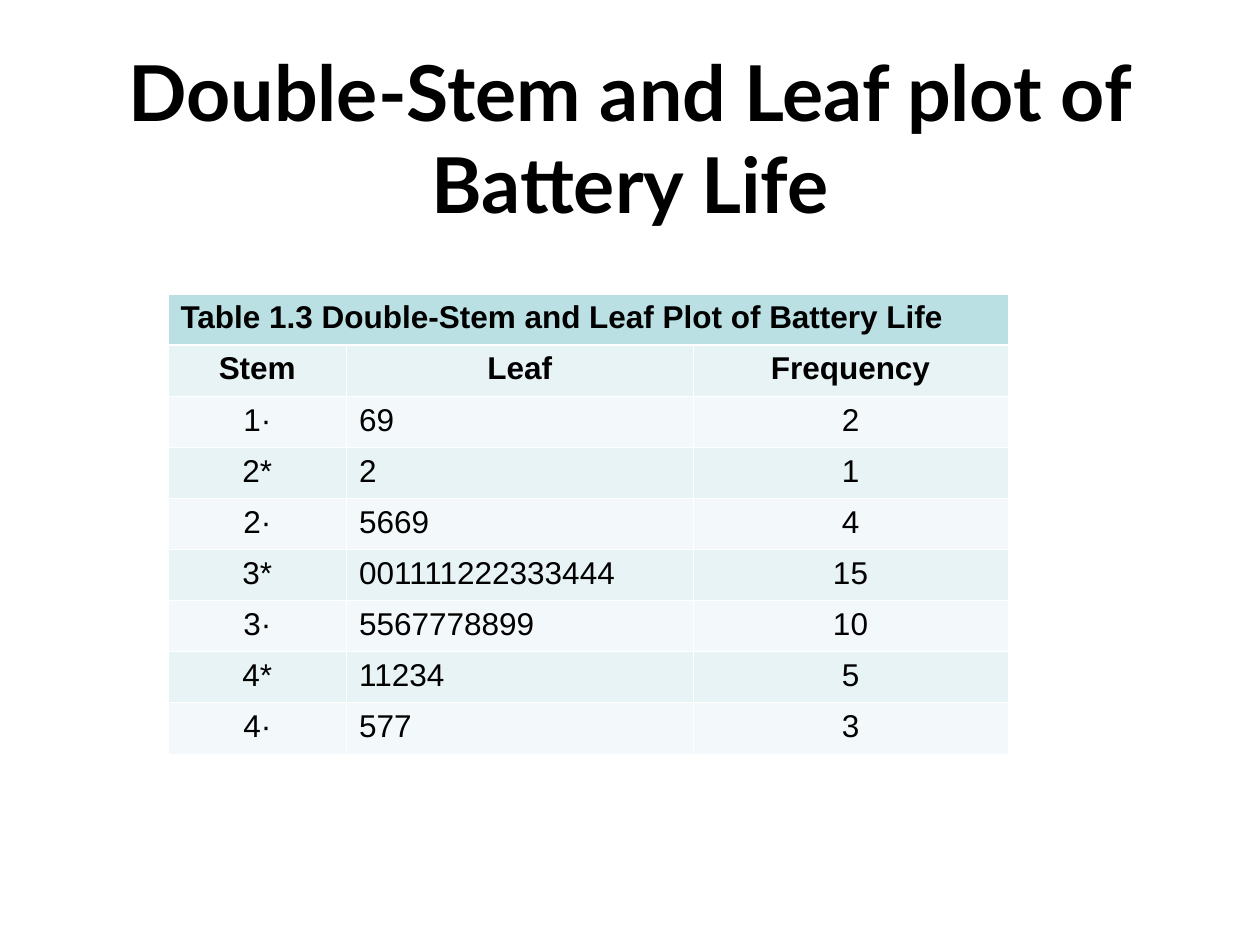
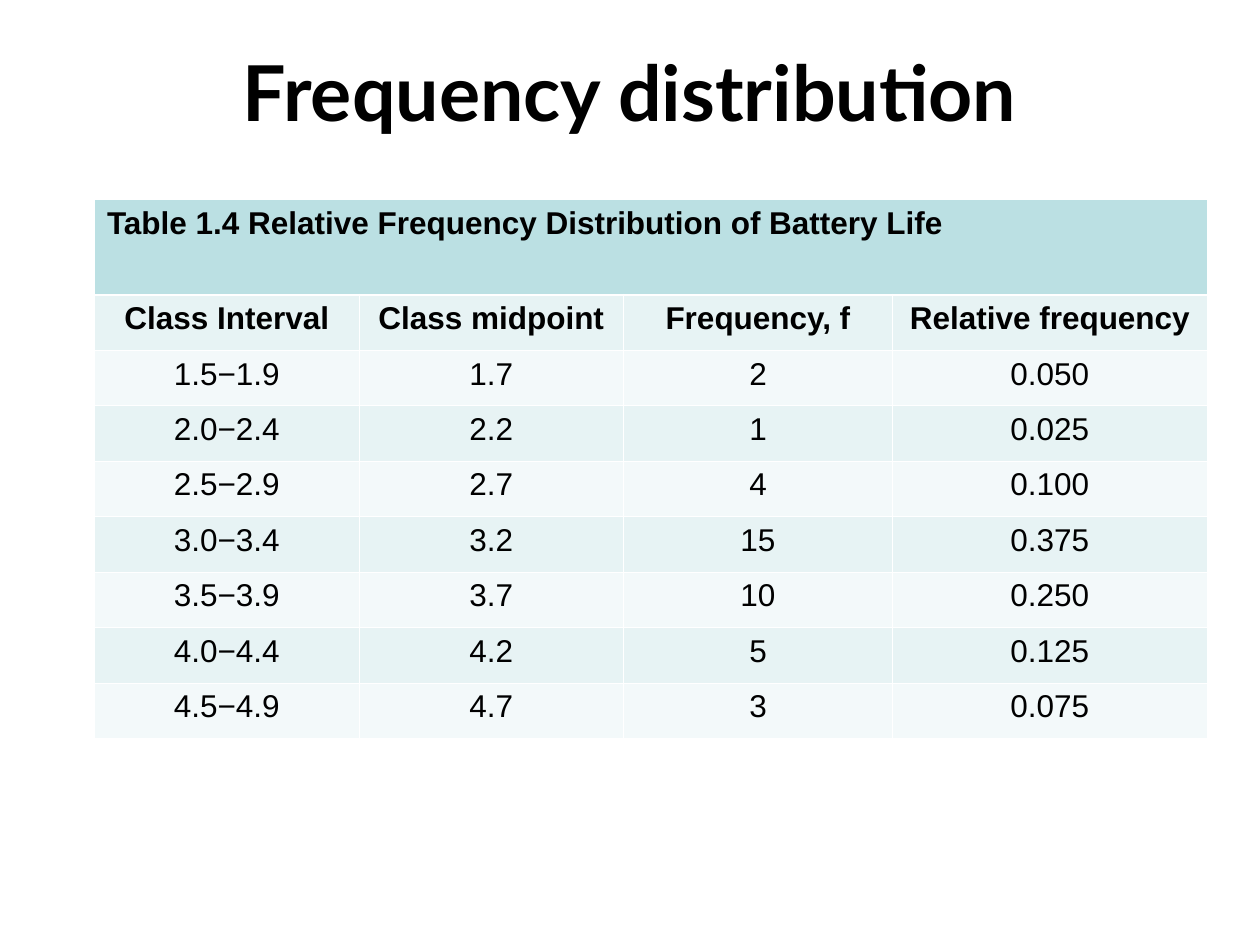
from dataclasses import dataclass

from lxml import etree
from pptx import Presentation
from pptx import util as u
from pptx.dml.color import RGBColor
from pptx.enum import text
from pptx.oxml import ns

LEFT, CENTER = text.PP_ALIGN.LEFT, text.PP_ALIGN.CENTER


@dataclass(frozen=True)
class Theme:
    ink: str = "000000"
    rule: str = "FFFFFF"
    caption: str = "BBE0E3"
    bands: tuple = ("E7F3F4", "F3F9FA")
    title_font: str = "Lato"
    table_font: str = "Arial"
    title_size: float = 44
    table_size: float = 18
    thin: float = 0.45
    thick: float = 1.47


class Deck:
    def __init__(self, theme):
        self.theme = theme
        self.prs = Presentation()
        self.prs.slide_width, self.prs.slide_height = u.Pt(720), u.Pt(540)
        self.s = None

    def font(self, p, name, size, bold):
        for r in p.runs:
            r.font.name, r.font.size, r.font.bold = name, u.Pt(size), bold
            r.font.color.rgb = RGBColor.from_string(self.theme.ink)

    def slide(self, title):
        """Start a slide with its title in the shared style."""
        self.s = self.prs.slides.add_slide(self.prs.slide_layouts[5])
        sp = self.s.shapes.title
        sp.left, sp.top, sp.width, sp.height = map(u.Pt, (36, 21.6, 648, 90))
        tf = sp.text_frame
        tf.text = title
        tf.word_wrap = True
        tf.auto_size = text.MSO_AUTO_SIZE.NONE
        tf.vertical_anchor = text.MSO_ANCHOR.TOP
        p = tf.paragraphs[0]
        p.alignment = CENTER
        self.font(p, self.theme.title_font, self.theme.title_size, True)

    def borders(self, cell, top, bottom):
        """Draw the four cell borders; top and bottom are widths in points."""
        pr = cell._tc.get_or_add_tcPr()
        thin = self.theme.thin
        for side, width in (("L", thin), ("R", thin), ("T", top), ("B", bottom)):
            ln = etree.SubElement(pr, ns.qn(f"a:ln{side}"), w=str(u.Pt(width)))
            fill = etree.SubElement(ln, ns.qn("a:solidFill"))
            etree.SubElement(fill, ns.qn("a:srgbClr"), val=self.theme.rule)

    def cell(self, cell, value, fill, align, bold):
        cell.fill.solid()
        cell.fill.fore_color.rgb = RGBColor.from_string(fill)
        cell.text = value
        p = cell.text_frame.paragraphs[0]
        p.alignment = align
        self.font(p, self.theme.table_font, self.theme.table_size, bold)

    def table(self, left, top, widths, caption_height, row_height, caption,
              heads, rows, left_columns=()):
        """Add a table: caption across the top, bold heads, banded rows."""
        th = self.theme
        lines = [heads, *rows]
        height = caption_height + row_height * len(lines)
        frame = self.s.shapes.add_table(
            len(lines) + 1, len(widths),
            *map(u.Pt, (left, top, sum(widths), height)))
        tbl = frame.table
        tbl.first_row = tbl.horz_banding = False
        for col, width in zip(tbl.columns, widths):
            col.width = u.Pt(width)
        for i, row in enumerate(tbl.rows):
            row.height = u.Pt(row_height if i else caption_height)
            for cell in row.cells:
                self.borders(cell, th.thick if i == 1 else th.thin,
                             th.thin if i else th.thick)

        tbl.cell(0, 0).merge(tbl.cell(0, len(widths) - 1))
        self.cell(tbl.cell(0, 0), caption, th.caption, LEFT, True)
        for i, line in enumerate(lines):
            for j, value in enumerate(line):
                align = LEFT if i and j in left_columns else CENTER
                self.cell(tbl.cell(i + 1, j), value, th.bands[i % 2], align, i == 0)


STEM_AND_LEAF = [
    ("1·", "69", "2"),
    ("2*", "2", "1"),
    ("2·", "5669", "4"),
    ("3*", "001111222333444", "15"),
    ("3·", "5567778899", "10"),
    ("4*", "11234", "5"),
    ("4·", "577", "3"),
]
DISTRIBUTION = [
    ("1.5−1.9", "1.7", "2", "0.050"),
    ("2.0−2.4", "2.2", "1", "0.025"),
    ("2.5−2.9", "2.7", "4", "0.100"),
    ("3.0−3.4", "3.2", "15", "0.375"),
    ("3.5−3.9", "3.7", "10", "0.250"),
    ("4.0−4.4", "4.2", "5", "0.125"),
    ("4.5−4.9", "4.7", "3", "0.075"),
]


def main():
    deck = Deck(Theme())
    deck.slide("Double-Stem and Leaf plot of Battery Life")
    deck.table(96, 168, (102, 198, 180), 29.2, 29.2,
               "Table 1.3 Double-Stem and Leaf Plot of Battery Life",
               ("Stem", "Leaf", "Frequency"), STEM_AND_LEAF, left_columns=(1,))

    deck.slide("Frequency distribution")
    deck.table(54, 114, (151.2, 151.2, 153.6, 180), 54.4, 31.7,
               "Table 1.4 Relative Frequency Distribution of Battery Life",
               ("Class Interval", "Class midpoint", "Frequency, f",
                "Relative frequency"), DISTRIBUTION)
    deck.prs.save("out.pptx")


if __name__ == "__main__":
    main()
